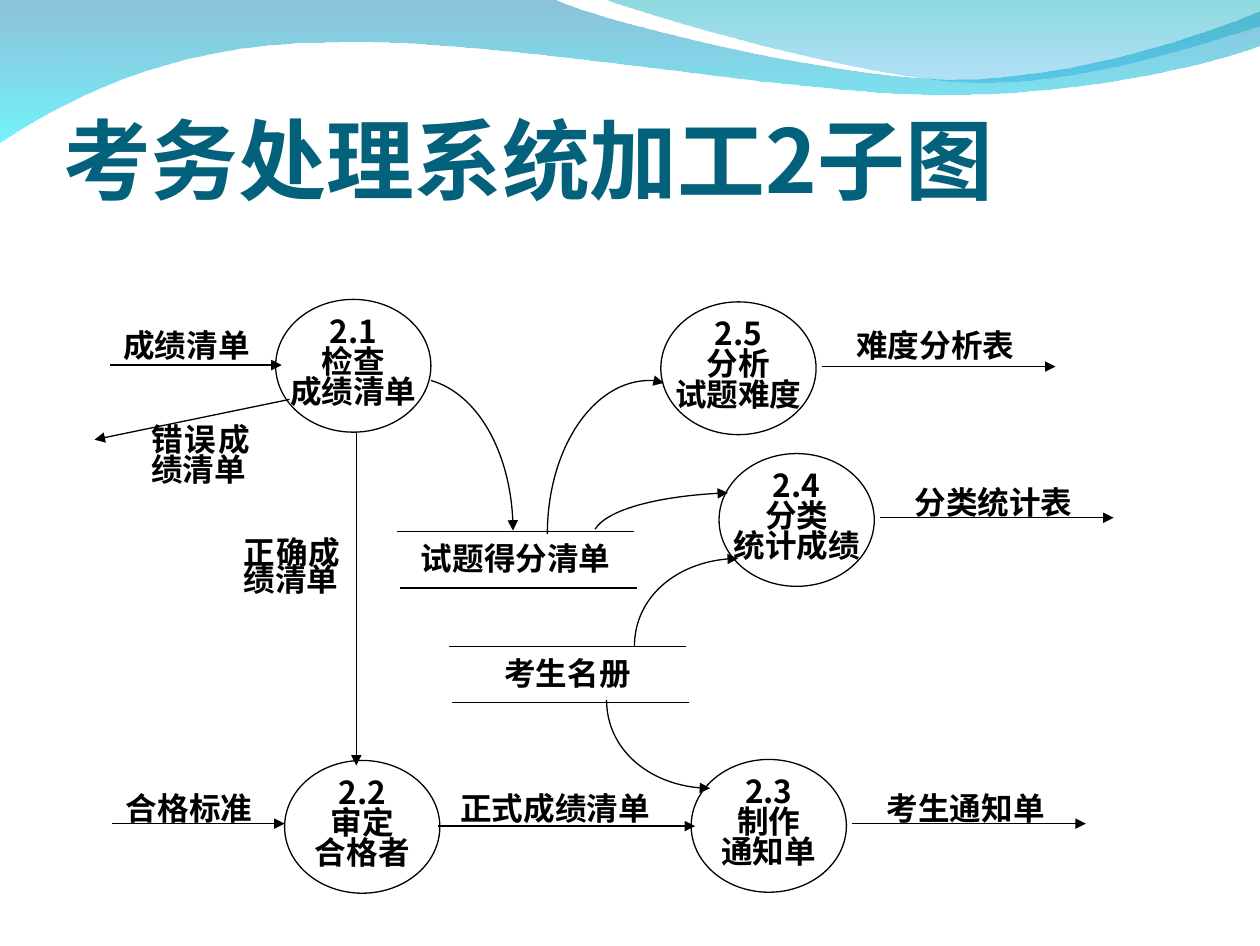
from lxml import etree
from pptx import Presentation
from pptx.dml.color import RGBColor
from pptx.enum.shapes import MSO_CONNECTOR, MSO_SHAPE
from pptx.enum.text import MSO_ANCHOR, MSO_AUTO_SIZE, PP_ALIGN
from pptx.oxml.ns import qn
from pptx.util import Cm, Pt

BLACK = RGBColor(0x00, 0x00, 0x00)
TEAL = RGBColor(0x04, 0x61, 0x7B)
BLUE = RGBColor(0x00, 0x79, 0xAF)
CYAN = RGBColor(0x00, 0xEB, 0xF8)
GREEN = RGBColor(0x00, 0xAD, 0xB6)
SKY = RGBColor(0x00, 0x9B, 0xE5)

LEFT, CENTER, JUSTIFY = PP_ALIGN.LEFT, PP_ALIGN.CENTER, PP_ALIGN.JUSTIFY
TOP, BOTTOM = MSO_ANCHOR.TOP, MSO_ANCHOR.BOTTOM
FIXED = MSO_AUTO_SIZE.NONE
OVAL, STRAIGHT = MSO_SHAPE.OVAL, MSO_CONNECTOR.STRAIGHT

FACE = "Noto Sans CJK SC"
BODY = {"name": FACE, "size": Pt(18), "bold": True}
HEAD = {"name": FACE, "size": Pt(50), "bold": True}
BARE = {"margin_left": 0, "margin_right": 0, "margin_top": 0, "margin_bottom": 0,
        "vertical_anchor": TOP, "auto_size": FIXED, "word_wrap": False}
BOXED = {"margin_left": Cm(0.25), "margin_right": Cm(0.25),
         "margin_top": Cm(0.13), "margin_bottom": Cm(0.13),
         "vertical_anchor": TOP, "auto_size": FIXED, "word_wrap": True}
TITLED = {**BARE, "margin_top": Cm(0.13), "vertical_anchor": BOTTOM, "word_wrap": True}

# name, left, top
STEPS = [
    ("2.5\n分析\n试题难度", 13.28, 6.07),
    ("2.4\n分类\n统计成绩", 14.45, 9.12),
    ("2.3\n制作\n通知单", 13.89, 15.27),
    ("2.2\n审定\n合格者", 5.72, 15.29),
    ("2.1\n检查\n成绩清单", 5.54, 6.02),
]
# start x, start y, end x, end y
FLOWS = [
    (16.51, 7.37, 21.21, 7.37),
    (17.68, 10.41, 22.38, 10.41),
    (17.12, 16.56, 21.82, 16.56),
    (8.81, 16.61, 13.97, 16.61),
    (2.26, 16.56, 5.72, 16.56),
    (2.21, 7.34, 5.66, 7.34),
    (7.16, 8.69, 7.16, 15.39),
    (5.82, 8.03, 1.9, 8.84),
]
# text, left, top, width
LABELS = [
    ("难度分析表", 16.56, 6.58, 4.47),
    ("分类统计表", 17.73, 9.73, 4.47),
    ("考生通知单", 17.17, 15.88, 4.47),
    ("正式成绩清单", 8.92, 15.88, 4.47),
    ("合格标准", 2.06, 15.88, 3.48),
    ("成绩清单", 2.01, 6.58, 3.48),
]
STORES = [("考生名册", 9.02, 13.0), ("试题得分清单", 7.98, 10.69)]
# start, then one tuple of three points for each curve
BENDS = [
    ((12.19, 14.07), [((12.19, 15.06), (13.13, 15.85), (14.27, 15.85))]),
    ((12.75, 13.0), [((12.75, 12.01), (13.69, 11.23), (14.83, 11.23))]),
    ((11.0, 10.74), [((11.0, 9.04), (11.91, 7.65), (13.06, 7.65)),
                     ((13.16, 7.65), (13.26, 7.67), (13.34, 7.7))]),
    ((11.96, 10.64), [((12.19, 10.26), (13.26, 9.96), (14.63, 9.91))]),
    ((8.66, 7.65), [((9.6, 7.92), (10.31, 9.19), (10.31, 10.67))]),
]
# start, parts (one point for a line, three for a curve), stops of colour and opacity
WAVES = [
    ((0, 0), [((11.15, 0),),
              ((12.04, 0.43), (16.81, 1.6), (19.2, 1.6)),
              ((21.62, 1.6), (24.28, 0.66), (25.32, 0.23)),
              ((25.32, 0.91),),
              ((24.92, 1.12), (22.02, 1.93), (18.9, 1.91)),
              ((15.75, 1.91), (9.68, 0.71), (6.53, 0.86)),
              ((3.28, 0.89), (1.17, 2.11), (0, 2.87))],
     [(BLUE, 45), (CYAN, 55)]),
    ((12.14, 0), [((12.9, 0.28), (17.27, 1.57), (19.48, 1.65)),
                  ((21.67, 1.75), (24.36, 0.81), (25.32, 0.53)),
                  ((25.32, 0),)],
     [(GREEN, 45), (SKY, 30)]),
]


def format(item, values):
    for key, value in values.items():
        setattr(item, key, value)


def write(shape, text, frame, font, color=BLACK, align=CENTER, space=0.8):
    format(shape.text_frame, frame)
    shape.text_frame.text = text
    for para in shape.text_frame.paragraphs:
        format(para, {"alignment": align, "line_spacing": space})
        for run in para.runs:
            format(run.font, font)
            run.font.color.rgb = color
            etree.SubElement(run._r.get_or_add_rPr(), qn("a:ea"), typeface=FACE)


def stroke(shape, arrow=False):
    shape.line.color.rgb = BLACK
    shape.line.width = Pt(0.75)
    if arrow:
        line = shape.element.spPr.find(qn("a:ln"))
        etree.SubElement(line, qn("a:tailEnd"), type="triangle")


def add_line(slide, x1, y1, x2, y2, arrow=False):
    line = slide.shapes.add_connector(STRAIGHT, Cm(x1), Cm(y1), Cm(x2), Cm(y2))
    stroke(line, arrow)
    etree.SubElement(line.element.spPr, qn("a:effectLst"))


def add_label(slide, text, left, top, width, **look):
    box = slide.shapes.add_textbox(Cm(left), Cm(top), Cm(width), Cm(1.45))
    write(box, text, BOXED, BODY, **look)


def add_step(slide, text, left, top):
    oval = slide.shapes.add_shape(OVAL, Cm(left), Cm(top), Cm(3.12), Cm(2.67))
    oval.shadow.inherit = False
    oval.fill.background()
    stroke(oval)
    write(oval, text, BARE, BODY)


def add_store(slide, text, left, top):
    """Draw a data store: a name between two rules."""
    width = 4.77
    for x, y in ((left, top), (left + 0.06, top + 1.13)):
        add_line(slide, x, y, x + width, y)
    add_label(slide, text, left, top + 0.16, width)


def add_curve(slide, start, parts, close):
    """Build an outline whose three-point parts become Bezier curves."""
    pen = slide.shapes.build_freeform(Cm(start[0]), Cm(start[1]))
    pen.add_line_segments([(Cm(x), Cm(y)) for part in parts for x, y in part], close)
    shape = pen.convert_to_shape()
    shape.shadow.inherit = False
    lines = iter(list(shape.element.iter(qn("a:lnTo"))))
    for part in parts:
        nodes = [next(lines) for _ in part]
        if len(part) == 3:
            curve = etree.Element(qn("a:cubicBezTo"))
            nodes[0].addprevious(curve)
            for node in nodes:
                curve.append(node[0])
                node.getparent().remove(node)
    return shape


def add_bend(slide, start, parts):
    bend = add_curve(slide, start, parts, False)
    bend.fill.background()
    stroke(bend, True)


def add_wave(slide, start, parts, stops):
    wave = add_curve(slide, start, parts, True)
    wave.line.fill.background()
    wave.fill.gradient()
    wave.fill.gradient_angle = 270
    for stop, (color, alpha) in zip(wave.fill.gradient_stops, stops):
        stop.color.rgb = color
    tints = wave.element.spPr.iter(qn("a:srgbClr"))
    for tint, (color, alpha) in zip(list(tints), stops):
        etree.SubElement(tint, qn("a:alpha"), val=str(alpha * 1000))


def set_title(slide, text):
    title = slide.shapes.title
    format(title, {"left": Cm(1.27), "top": Cm(1.07), "width": Cm(22.81), "height": Cm(3.18)})
    write(title, text, TITLED, HEAD, TEAL, LEFT, 1.0)


def main():
    deck = Presentation()
    format(deck, {"slide_width": Cm(25.32), "slide_height": Cm(19.02)})
    slide = deck.slides.add_slide(deck.slide_layouts[5])
    for wave in WAVES:
        add_wave(slide, *wave)
    set_title(slide, "考务处理系统加工2子图")
    for step in STEPS:
        add_step(slide, *step)
    for flow in FLOWS:
        add_line(slide, *flow, arrow=True)
    for bend in BENDS:
        add_bend(slide, *bend)
    for store in STORES:
        add_store(slide, *store)
    for label in LABELS:
        add_label(slide, *label)
    add_label(slide, "正确成绩清单", 4.65, 10.8, 2.44, align=JUSTIFY, space=0.7)
    add_label(slide, "错误成绩清单", 2.79, 8.46, 2.49, align=JUSTIFY)
    deck.save("out.pptx")


if __name__ == "__main__":
    main()
